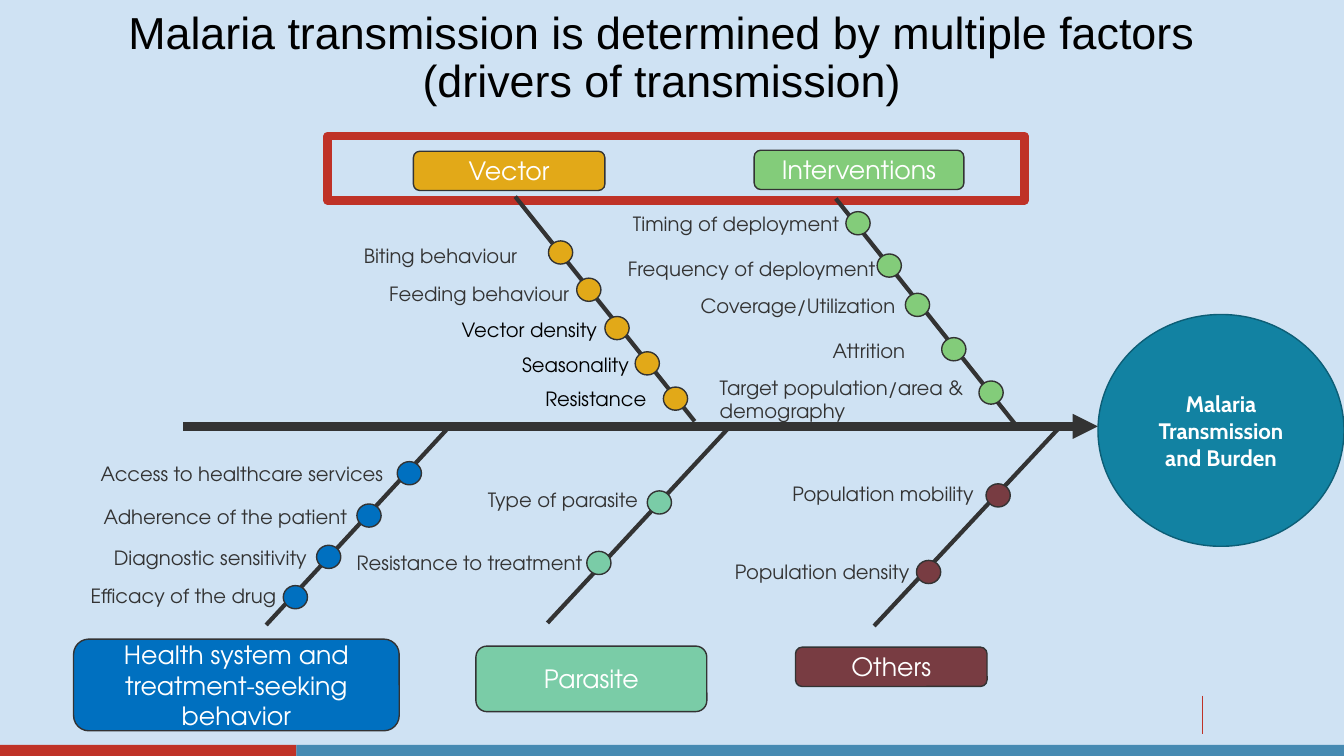
import pptx
import pptx.util
import pptx.dml.color
import pptx.enum.shapes
import pptx.enum.text
import pptx.oxml
import pptx.oxml.ns
from dataclasses import dataclass

Inches, Pt = pptx.util.Inches, pptx.util.Pt
SHAPE = pptx.enum.shapes.MSO_SHAPE
ANCHOR = pptx.enum.text.MSO_ANCHOR
ALIGN = pptx.enum.text.PP_ALIGN


@dataclass(frozen=True)
class Theme:
    background: str = "CFE2F3"
    red: str = "BF3227"
    footer_blue: str = "468AB2"
    ink: str = "333333"
    black: str = "000000"
    white: str = "FFFFFF"
    outcome: str = "1282A2"
    outcome_edge: str = "0D5E76"
    vector: str = "E2A918"
    interventions: str = "83CC7A"
    health: str = "0070C0"
    parasite: str = "7ACCA7"
    others: str = "783C42"
    title_font: str = "Arial"
    body_font: str = "TeX Gyre Adventor"
    outcome_font: str = "Cabin"
    title_size: int = 32
    category_size: int = 18
    outcome_size: int = 16
    factor_size: int = 14


THEME = Theme()

# Content
TITLE = ["Malaria transmission is determined by multiple factors",
         "(drivers of transmission)"]
OUTCOME = "Malaria Transmission and Burden"

# Each factor: wording, label (left, top, width), dot (left, top), text colour
CATEGORIES = [
    dict(name="Vector", colour=THEME.vector, box=(4.1, 1.5, 1.9, 0.39),
         bone=((5.11, 1.95), (6.89, 4.18)),
         factors=[
             ("Biting behaviour", (3.51, 2.37, 2.7), (5.44, 2.39), THEME.ink),
             ("Feeding behaviour", (3.76, 2.75, 2.81), (5.72, 2.76), THEME.ink),
             ("Vector density", (4.48, 3.11, 2.14), (6, 3.14), THEME.black),
             ("Seasonality", (5.08, 3.45, 1.51), (6.3, 3.49), THEME.black),
             ("Resistance", (5.31, 3.79, 1.26), (6.58, 3.84), THEME.black)]),
    dict(name="Interventions", colour=THEME.interventions, box=(7.48, 1.49, 2.08, 0.39),
         bone=((8.29, 1.97), (10.07, 4.21)),
         factors=[
             ("Timing of deployment", (6.18, 2.05, 4.03), (8.39, 2.1), THEME.ink),
             ("Frequency of deployment", (6.13, 2.5, 2.69), (8.7, 2.52), THEME.ink),
             ("Coverage/Utilization", (6.85, 2.87, 2.54), (8.98, 2.91), THEME.ink),
             ("Attrition", (8.16, 3.31, 2.68), (9.34, 3.35), THEME.ink),
             ("Target population/area & demography", (7.04, 3.68, 2.73), (9.71, 3.78),
              THEME.ink)]),
    dict(name="Health system and treatment-seeking behavior", colour=THEME.health,
         box=(0.73, 6.34, 3.23, 0.91), bone=((4.45, 4.24), (2.64, 6.2)),
         factors=[
             ("Access to healthcare services", (0.9, 4.53, 3.23), (3.94, 4.58), THEME.ink),
             ("Adherence of the patient", (0.93, 4.96, 2.94), (3.54, 5), THEME.ink),
             ("Diagnostic sensitivity", (1.03, 5.37, 2.58), (3.14, 5.41), THEME.ink),
             ("Efficacy of the drug", (0.8, 5.74, 2.52), (2.81, 5.81), THEME.ink)]),
    dict(name="Parasite", colour=THEME.parasite, box=(4.72, 6.41, 2.29, 0.65),
         bone=((7.25, 4.22), (5.43, 6.18)),
         factors=[
             ("Type of parasite", (4.74, 4.79, 2.06), (6.42, 4.87), THEME.ink),
             ("Resistance to treatment", (3.44, 5.42, 2.56), (5.82, 5.47), THEME.ink)]),
    dict(name="Others", colour=THEME.others, box=(7.89, 6.42, 1.9, 0.39),
         bone=((10.49, 4.26), (8.67, 6.21)),
         factors=[
             ("Population mobility", (7.76, 4.73, 2.16), (9.78, 4.8), THEME.ink),
             ("Population density", (7.19, 5.51, 2.43), (9.09, 5.56), THEME.ink)]),
]

# Layout
SLIDE_WIDTH, SLIDE_HEIGHT = 13.33, 7.5
FOOTER_HEIGHT, FOOTER_SPLIT = 0.11, 2.94
DOT_SIZE = (0.24, 0.23)
LABEL_HEIGHT = 0.34
SPINE = ((1.82, 4.23), (10.89, 4.23))


def rgb(colour):
    return pptx.dml.color.RGBColor.from_string(colour)


def add_block(kind, box, fill=None, edge=None, weight=1):
    block = slide.shapes.add_shape(kind, *map(Inches, box))
    block.shadow.inherit = False
    if fill:
        block.fill.solid()
        block.fill.fore_color.rgb = rgb(fill)
    else:
        block.fill.background()
    if edge:
        block.line.color.rgb = rgb(edge)
        block.line.width = Pt(weight)
    else:
        block.line.fill.background()
    return block


def add_line(ends, colour, weight, arrow=False):
    start, end = ends
    line = slide.shapes.add_connector(pptx.enum.shapes.MSO_CONNECTOR.STRAIGHT,
                                      *map(Inches, start + end))
    line.line.color.rgb = rgb(colour)
    line.line.width = Pt(weight)
    if arrow:
        tip = pptx.oxml.ns.qn("a:tailEnd")
        line.line._get_or_add_ln().append(
            line._element.makeelement(tip, {"type": "triangle"}))
    line._element.spPr.append(
        line._element.makeelement(pptx.oxml.ns.qn("a:effectLst"), {}))


def write(holder, lines, font, size, colour, align=ALIGN.CENTER,
          anchor=ANCHOR.MIDDLE, bold=False, spacing=None):
    frame = holder.text_frame
    frame.word_wrap = True
    frame.vertical_anchor = anchor
    frame.text = "\n".join(lines)
    for paragraph in frame.paragraphs:
        paragraph.alignment = align
        paragraph.line_spacing = spacing
        paragraph.font.name = font
        paragraph.font.size = Pt(size)
        paragraph.font.bold = bold
        paragraph.font.color.rgb = rgb(colour)


def add_text(box, *args, **options):
    holder = slide.shapes.add_textbox(*map(Inches, box))
    write(holder, *args, **options)
    return holder


presentation = pptx.Presentation()
presentation.slide_width = Inches(SLIDE_WIDTH)
presentation.slide_height = Inches(SLIDE_HEIGHT)
slide = presentation.slides.add_slide(presentation.slide_layouts[6])
slide.background.fill.solid()
slide.background.fill.fore_color.rgb = rgb(THEME.background)

# Footer
footer_top = SLIDE_HEIGHT - FOOTER_HEIGHT
add_line(((11.93, 6.9), (11.93, 7.28)), THEME.red, 0.75)
for left, right, colour in [(0, FOOTER_SPLIT, THEME.red),
                            (FOOTER_SPLIT, SLIDE_WIDTH, THEME.footer_blue)]:
    add_block(SHAPE.RECTANGLE, (left, footer_top, right - left, FOOTER_HEIGHT), colour)

# Highlight frame, spine and bones
add_block(SHAPE.RECTANGLE, (3.25, 1.35, 6.91, 0.64), edge=THEME.red, weight=6)
add_line(SPINE, THEME.ink, 6, arrow=True)
for category in CATEGORIES:
    add_line(category["bone"], THEME.ink, 3)

# Categories with their factors
for category in CATEGORIES:
    heading = add_block(SHAPE.ROUNDED_RECTANGLE, category["box"], category["colour"], THEME.ink)
    write(heading, [category["name"]], THEME.body_font, THEME.category_size, THEME.white)
    for factor, label, dot, text_colour in category["factors"]:
        add_block(SHAPE.OVAL, dot + DOT_SIZE, category["colour"], THEME.ink)
        add_text(label + (LABEL_HEIGHT,), [factor], THEME.body_font, THEME.factor_size,
                 text_colour, align=ALIGN.LEFT, anchor=ANCHOR.TOP)

# Outcome
outcome = add_block(SHAPE.OVAL, (10.89, 3.12, 2.44, 2.3), THEME.outcome, THEME.outcome_edge)
write(outcome, [OUTCOME], THEME.outcome_font, THEME.outcome_size, THEME.white, bold=True)

# Title
title = add_text((0.3, 0.18, 12.66, 0.81), TITLE, THEME.title_font, THEME.title_size,
                 THEME.black, spacing=0.9)
title.text_frame.margin_left = 0
title.text_frame.margin_right = Inches(0.13)

presentation.save("out.pptx")
